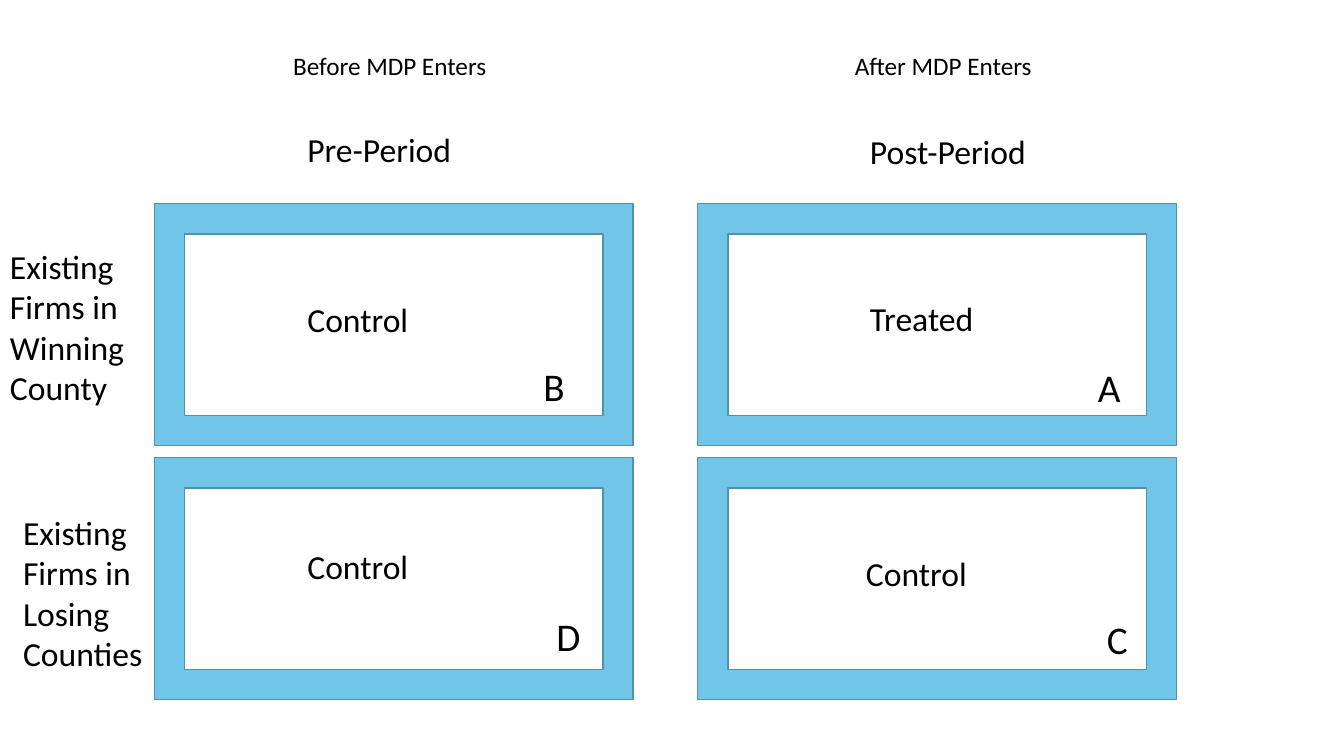
from pptx import Presentation
from pptx.dml.color import RGBColor
from pptx.enum.shapes import MSO_SHAPE as Shape
from pptx.util import Inches, Pt

BLACK = RGBColor(0x00, 0x00, 0x00)
SKY = RGBColor(0x71, 0xC5, 0xE8)
STEEL = RGBColor(0x53, 0x91, 0xAB)
WIDE, HIGH = 4.75, 2.4
LEFT, TOP = 1.53, 2.02
STEP_X, STEP_Y = 5.39, 2.52

HEADS = [
    ("Before MDP Enters", 1.28, "Pre-Period", 1.42, 1.23),
    ("After MDP Enters", 1.46, "Post-Period", 1.61, 1.25),
]
SIDES = [
    ("Existing Firms in Winning County", 0, 0.37),
    ("Existing Firms in Losing Counties", 0.13, 0.49),
]
CELLS = [
    [("Control", 1.42, 0.9, "B", 3.76, 1.53),
     ("Treated", 1.61, 0.89, "A", 3.87, 1.54)],
    [("Control", 1.42, 0.83, "D", 3.89, 1.49),
     ("Control", 1.57, 0.9, "C", 3.96, 1.52)],
]


def add_text(slide, words, x, y, wide, high, size):
    box = slide.shapes.add_textbox(
        Inches(x), Inches(y), Inches(wide), Inches(high))
    frame = box.text_frame
    frame.word_wrap = True
    frame.text = words
    font = frame.paragraphs[0].runs[0].font
    font.name, font.size = "Calibri", Pt(size)
    font.color.rgb = BLACK


def add_head(slide, x, head):
    event, event_x, period, period_x, period_y = head
    add_text(slide, event, x + event_x, 0.45, 3, 0.4, 18)
    add_text(slide, period, x + period_x, period_y, 3.67, 0.5, 24)


def add_side(slide, y, side):
    words, x, drop = side
    add_text(slide, words, x, y + drop, 1.42, 1.7, 24)


def add_cell(slide, x, y, cell):
    role, role_x, role_y, letter, letter_x, letter_y = cell
    border = slide.shapes.add_shape(
        Shape.FRAME, Inches(x), Inches(y), Inches(WIDE), Inches(HIGH))
    border.adjustments[0] = 0.125
    border.shadow.inherit = False
    border.fill.solid()
    border.fill.fore_color.rgb = SKY
    border.line.color.rgb = STEEL
    border.line.width = Pt(1)
    add_text(slide, role, x + role_x, y + role_y, 1.59, 0.5, 24)
    add_text(slide, letter, x + letter_x, y + letter_y, 0.77, 0.56, 28)


def add_matrix(slide):
    for col, head in enumerate(HEADS):
        add_head(slide, LEFT + col * STEP_X, head)
    for row, (side, cells) in enumerate(zip(SIDES, CELLS)):
        y = TOP + row * STEP_Y
        add_side(slide, y, side)
        for col, cell in enumerate(cells):
            add_cell(slide, LEFT + col * STEP_X, y, cell)


def main():
    deck = Presentation()
    deck.slide_width, deck.slide_height = Inches(13.33), Inches(7.5)
    add_matrix(deck.slides.add_slide(deck.slide_layouts[6]))
    deck.save("out.pptx")


if __name__ == "__main__":
    main()
